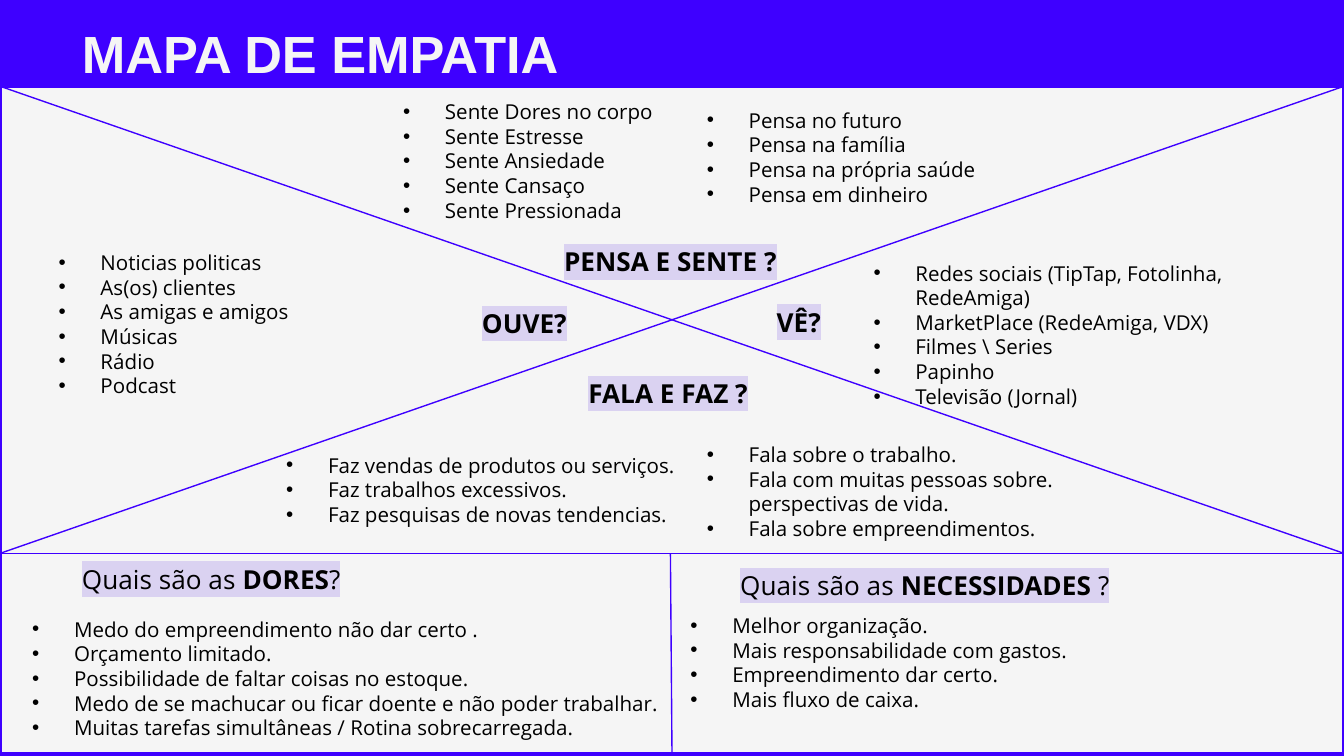
"""Build the empathy map slide."""
from dataclasses import dataclass

from lxml import etree
from pptx import Presentation
from pptx import util as u
from pptx.dml.color import RGBColor
from pptx.enum import shapes, text
from pptx.oxml.ns import qn


@dataclass(frozen=True)
class Theme:
    """Colours, fonts and type sizes."""
    accent: str = "3E00FF"
    paper: str = "F5F5F5"
    ink: str = "000000"
    mark: str = "DAD2F1"
    title_font: str = "Arial"
    body_font: str = "Open Sans"
    title_pt: float = 28
    heading_pt: float = 14
    body_pt: float = 11
    frame_pt: float = 2
    line_pt: float = 0.75


@dataclass(frozen=True)
class Box:
    """Position and size in centimetres."""
    x: float
    y: float
    w: float
    h: float

    def emu(self) -> list:
        """Return the four lengths for python-pptx."""
        return [u.Cm(v) for v in (self.x, self.y, self.w, self.h)]


@dataclass(frozen=True)
class Heading:
    """A highlighted question with its bold part."""
    box: Box
    bold: str
    before: str = ""
    after: str = ""


@dataclass(frozen=True)
class Bullets:
    """A bulleted list."""
    box: Box
    items: tuple[str, ...]


T = Theme()
WIDTH, HEIGHT = 25.4, 14.29
TOP, SPLIT, BOTTOM = 1.63, 10.46, 14.25
HEAD_H = 0.86
INDENT = u.Cm(0.79)

HEADINGS = (
    Heading(Box(8.86, 5.69, 2.24, HEAD_H), "OUVE?"),
    Heading(Box(10.41, 4.52, 4.72, HEAD_H), "PENSA E SENTE ?"),
    Heading(Box(10.87, 7.01, 3.58, HEAD_H), "FALA E FAZ ?"),
    Heading(Box(14.43, 5.66, 1.5, HEAD_H), "VÊ?"),
    Heading(Box(1.3, 10.52, 7.06, HEAD_H), "DORES", "Quais são as ", "?"),
    Heading(Box(13.74, 10.64, 10.13, HEAD_H), "NECESSIDADES ", "Quais são as ", "?"),
)

LISTS = (
    Bullets(Box(0.86, 4.6, 8.81, 3.07), (
        "Noticias politicas", "As(os) clientes", "As amigas e amigos",
        "Músicas", "Rádio", "Podcast")),
    Bullets(Box(7.37, 1.75, 7.95, 2.62), (
        "Sente Dores no corpo", "Sente Estresse", "Sente Ansiedade",
        "Sente Cansaço", "Sente Pressionada")),
    Bullets(Box(13.11, 1.91, 6.78, 2.13), (
        "Pensa no futuro", "Pensa na família", "Pensa na própria saúde",
        "Pensa em dinheiro")),
    Bullets(Box(16.26, 4.8, 9.14, 2.62), (
        "Redes sociais (TipTap, Fotolinha, RedeAmiga)",
        "MarketPlace (RedeAmiga, VDX)", "Filmes \\ Series", "Papinho",
        "Televisão (Jornal)")),
    Bullets(Box(5.16, 8.43, 9.68, 1.68), (
        "Faz vendas de produtos ou serviços.", "Faz trabalhos excessivos.",
        "Faz pesquisas de novas tendencias.")),
    Bullets(Box(13.11, 8.23, 8.64, 2.13), (
        "Fala sobre o trabalho.",
        "Fala com muitas pessoas sobre. perspectivas de vida.",
        "Fala sobre empreendimentos.")),
    Bullets(Box(0.36, 11.53, 12.45, 2.62), (
        "Medo do empreendimento não dar certo .", "Orçamento limitado.",
        "Possibilidade de faltar coisas no estoque.",
        "Medo de se machucar ou ficar doente e não poder trabalhar.",
        "Muitas tarefas simultâneas / Rotina sobrecarregada.")),
    Bullets(Box(12.8, 11.46, 11.4, 2.13), (
        "Melhor organização.", "Mais responsabilidade com gastos.",
        "Empreendimento dar certo.", "Mais fluxo de caixa.")),
)


def rgb(value: str) -> RGBColor:
    """Turn a hex string into a colour."""
    return RGBColor.from_string(value)


def add_rect(s, box: Box, fill: str, line: str | None = None):
    """Draw a flat rectangle, outlined when a line colour is given."""
    sp = s.shapes.add_shape(shapes.MSO_SHAPE.RECTANGLE, *box.emu())
    sp.shadow.inherit = False
    sp.fill.solid()
    sp.fill.fore_color.rgb = rgb(fill)
    if line:
        sp.line.color.rgb = rgb(line)
        sp.line.width = u.Pt(T.frame_pt)
    else:
        sp.line.fill.background()
    return sp


def add_line(s, x1: float, y1: float, x2: float, y2: float):
    """Draw a thin straight divider."""
    cx = s.shapes.add_connector(shapes.MSO_CONNECTOR.STRAIGHT,
                                u.Cm(x1), u.Cm(y1), u.Cm(x2), u.Cm(y2))
    cx.line.color.rgb = rgb(T.accent)
    cx.line.width = u.Pt(T.line_pt)
    etree.SubElement(cx._element.spPr, qn("a:effectLst"))
    return cx


def add_text_frame(s, box: Box):
    """Add a wrapping text box and return its frame."""
    tf = s.shapes.add_textbox(*box.emu()).text_frame
    tf.word_wrap = True
    return tf


def add_run(p, words: str, size: float, color: str = T.ink, font: str = T.body_font,
            bold: bool = False, mark: str | None = None) -> None:
    """Append one formatted run."""
    r = p.add_run()
    r.text = words
    r.font.size = u.Pt(size)
    r.font.bold = bold
    r.font.color.rgb = rgb(color)
    if mark:
        highlight = etree.SubElement(r.font._element, qn("a:highlight"))
        etree.SubElement(highlight, qn("a:srgbClr"), val=mark)
    r.font.name = font


def add_title(s, words: str) -> None:
    """Write the slide title over the header band."""
    tf = add_text_frame(s, Box(1.3, 0.2, 21.41, 1.6))
    tf.margin_top = tf.margin_bottom = u.Cm(0.25)
    tf.vertical_anchor = text.MSO_ANCHOR.MIDDLE
    add_run(tf.paragraphs[0], words, T.title_pt, T.paper, T.title_font, bold=True)


def add_heading(s, heading: Heading) -> None:
    """Write a highlighted question."""
    p = add_text_frame(s, heading.box).paragraphs[0]
    for words, bold in ((heading.before, False), (heading.bold, True),
                        (heading.after, False)):
        if words:
            add_run(p, words, T.heading_pt, bold=bold, mark=T.mark)


def add_bullets(s, bullets: Bullets) -> None:
    """Write a bulleted list."""
    tf = add_text_frame(s, bullets.box)
    for i, item in enumerate(bullets.items):
        p = tf.add_paragraph() if i else tf.paragraphs[0]
        pPr = p._p.get_or_add_pPr()
        pPr.set("marL", str(INDENT))
        pPr.set("indent", str(-INDENT))
        color = etree.SubElement(pPr, qn("a:buClr"))
        etree.SubElement(color, qn("a:srgbClr"), val=T.ink)
        etree.SubElement(pPr, qn("a:buFont"), typeface="Arial")
        etree.SubElement(pPr, qn("a:buChar"), char="•")
        add_run(p, item, T.body_pt)


def main() -> None:
    """Assemble and save the slide."""
    prs = Presentation()
    prs.slide_width, prs.slide_height = u.Cm(WIDTH), u.Cm(HEIGHT)
    s = prs.slides.add_slide(prs.slide_layouts[6])
    add_rect(s, Box(0, 0, WIDTH, TOP), T.accent)
    add_title(s, "MAPA DE EMPATIA")
    frame = add_rect(s, Box(0, TOP, WIDTH, BOTTOM - TOP), T.paper, T.accent)
    add_line(s, 0, SPLIT, WIDTH, TOP)
    add_line(s, 0, TOP, WIDTH, SPLIT)
    add_line(s, 0, SPLIT, WIDTH, SPLIT)
    add_line(s, 12.67, SPLIT, WIDTH / 2, BOTTOM).end_connect(frame, 2)
    for heading in HEADINGS:
        add_heading(s, heading)
    for bullets in LISTS:
        add_bullets(s, bullets)
    prs.save("out.pptx")


if __name__ == "__main__":
    main()
